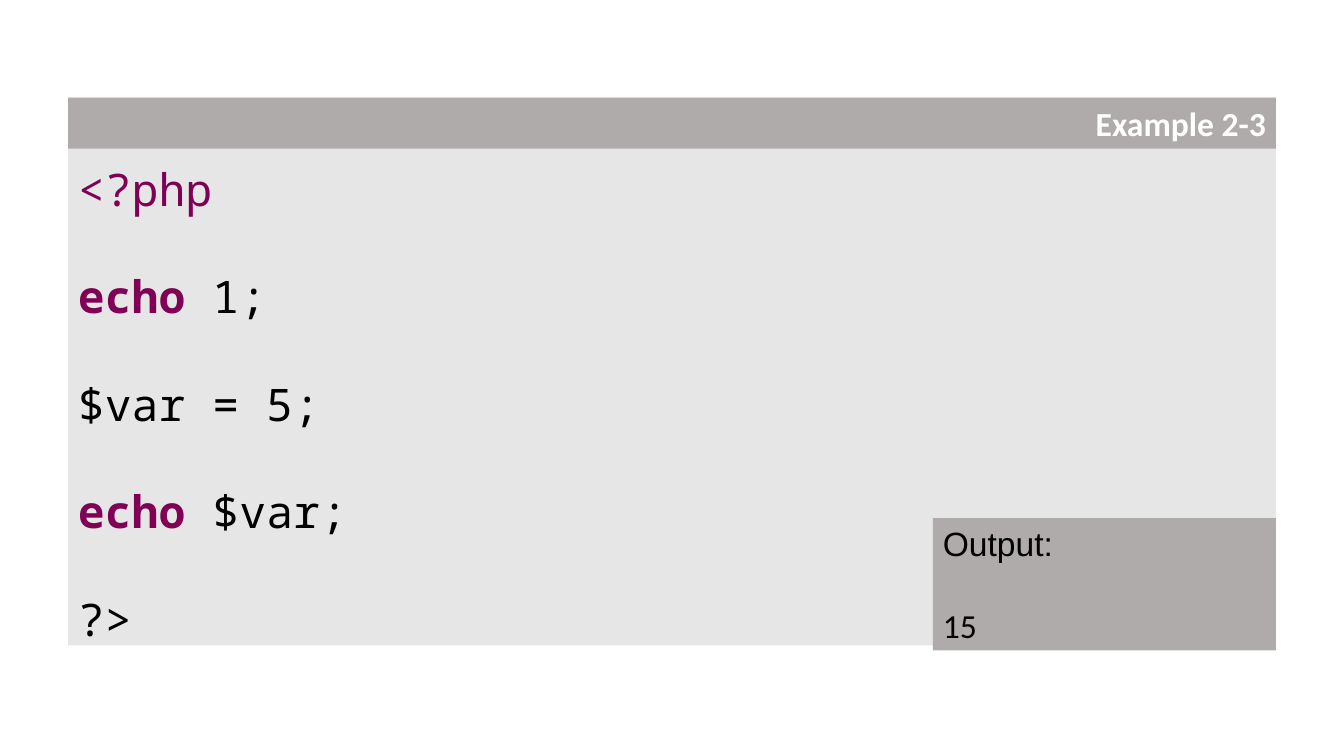
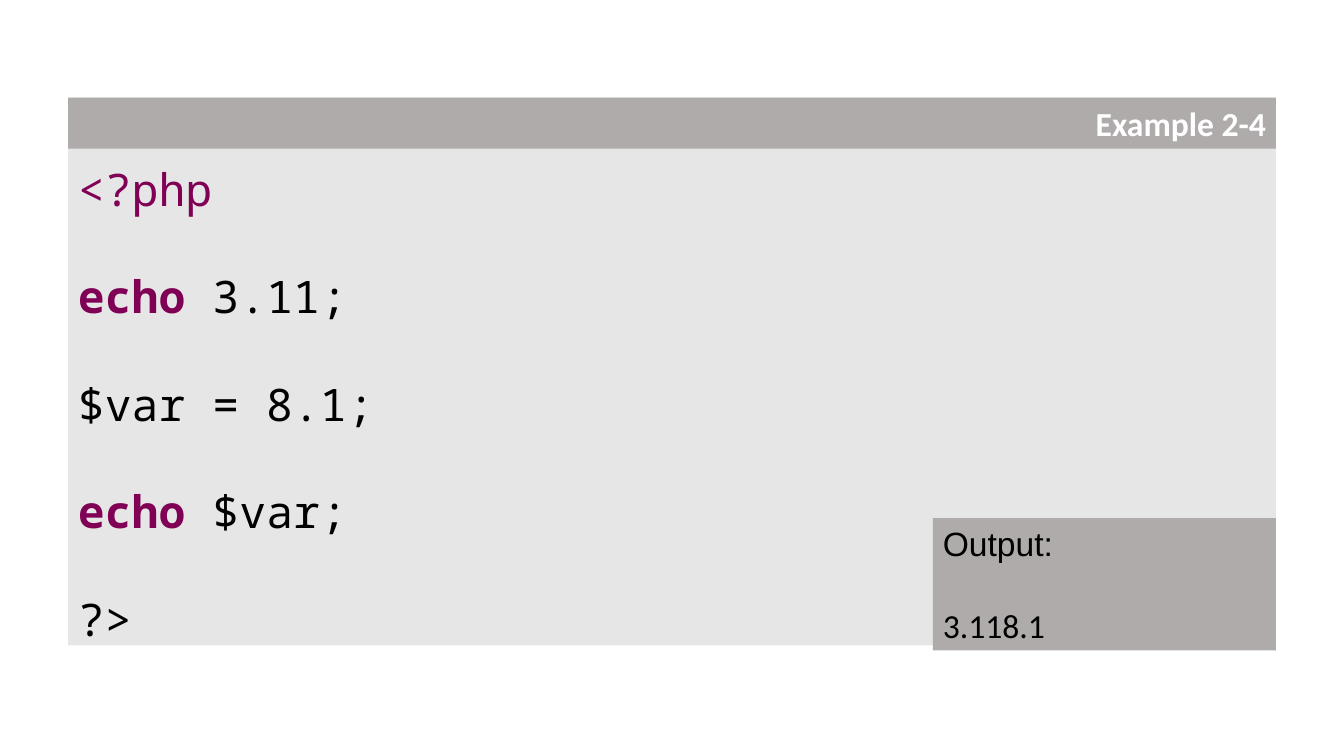
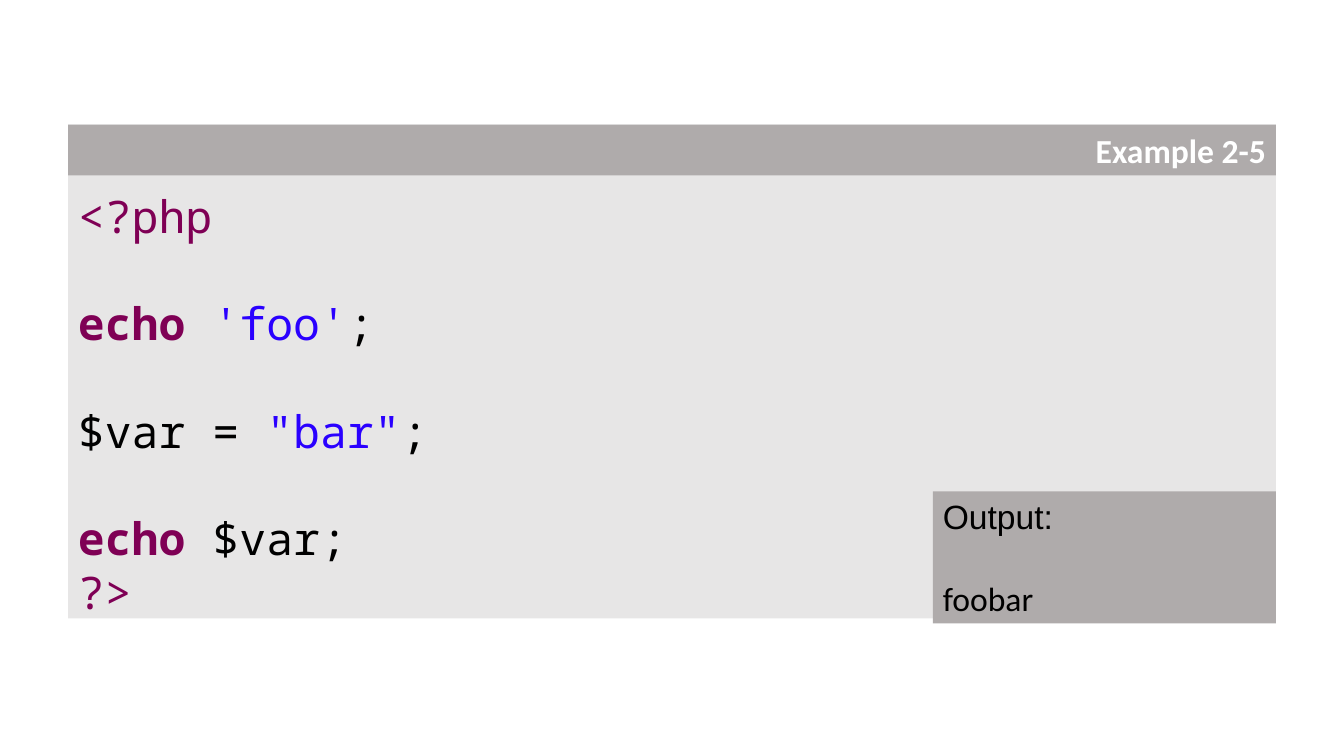
from pptx import Presentation
from pptx.dml.color import RGBColor as RGB
from pptx.enum.shapes import MSO_SHAPE as Shape
from pptx.enum.text import MSO_ANCHOR as Anchor, PP_ALIGN as Align
from pptx.util import Pt

BLACK = RGB(0x00, 0x00, 0x00)
WHITE = RGB(0xFF, 0xFF, 0xFF)
PALE = RGB(0xE7, 0xE6, 0xE6)
GREY = RGB(0xAF, 0xAB, 0xAB)
PLUM = RGB(0x7F, 0x00, 0x55)
BLUE = RGB(0x2A, 0x00, 0xFF)
MONO, SANS, BODY = "Noto Sans Mono", "Arial", "Calibri"

# Code lines are lists of (text, colour, bold)
OPEN = [("<?php", PLUM, False)]
ECHO = ("echo", PLUM, True)
LAST = [ECHO, (" $var;", BLACK, False)]


def plain(text):
    return [(text, BLACK, False)]


def quote(text):
    return [(text, BLUE, False), (";", BLACK, False)]


# Title, code lines, output, whether a gap precedes the closing tag
SLIDES = [
    ("Example 2-3",
     [OPEN, [ECHO] + plain(" 1;"), plain("$var = 5;"), LAST, plain("?>")],
     "15", True),
    ("Example 2-4",
     [OPEN, [ECHO] + plain(" 3.11;"), plain("$var = 8.1;"), LAST, plain("?>")],
     "3.118.1", True),
    ("Example 2-5",
     [OPEN, [ECHO] + plain(" ") + quote("'foo'"),
      plain("$var = ") + quote('"bar"'), LAST, [("?>", PLUM, False)]],
     "foobar", False),
]

# Layout in points
LEFT, WIDE, MID = 48.6, 862.8, 265.4
LINE, PAD = 38.4, 7.2
HEAD = 36.4
OUT_W, OUT_H, DROP = 245, 94.4, 3.6


def box(slide, x, y, w, h, fill, anchor=Anchor.TOP):
    rect = slide.shapes.add_shape(Shape.RECTANGLE, Pt(x), Pt(y), Pt(w), Pt(h))
    rect.shadow.inherit = False
    rect.fill.solid()
    rect.fill.fore_color.rgb = fill
    rect.line.fill.background()
    frame = rect.text_frame
    frame.word_wrap = True
    frame.vertical_anchor = anchor
    return frame


def style(run, face, size, color, bold=False):
    font = run.font
    font.name, font.size, font.bold = face, Pt(size), bold
    font.color.rgb = color


def add_code(frame, lines, gaps):
    for i, line in enumerate(lines):
        para = frame.add_paragraph() if i else frame.paragraphs[0]
        para.alignment = Align.LEFT
        para.line_spacing = Pt(LINE)
        if i and gaps[i]:
            para.space_before = Pt(LINE)
        for text, color, bold in line:
            run = para.add_run()
            run.text = text
            style(run, MONO, 32, color, bold)


def build(deck, title, lines, output, last_gap):
    slide = deck.slides.add_slide(deck.slide_layouts[6])
    gaps = [True] * (len(lines) - 1) + [last_gap]
    high = (len(lines) + sum(gaps)) * LINE + PAD
    top = MID - high / 2

    # Code panel
    frame = box(slide, LEFT, top, WIDE, high, PALE, Anchor.BOTTOM)
    frame.margin_bottom = 0
    add_code(frame, lines, gaps)

    # Output box
    frame = box(slide, LEFT + WIDE - OUT_W, top + high + DROP - OUT_H,
                OUT_W, OUT_H, GREY)
    frame.text = "Output:\n" + output
    for para, face in zip(frame.paragraphs, (SANS, BODY)):
        para.alignment = Align.LEFT
        style(para.runs[0], face, 24, BLACK)
    frame.paragraphs[1].space_before = Pt(29.3)

    # Title band
    frame = box(slide, LEFT, top, WIDE, HEAD, GREY)
    frame.text = title
    para = frame.paragraphs[0]
    para.alignment = Align.RIGHT
    style(para.runs[0], BODY, 24, WHITE, True)


def main():
    deck = Presentation()
    deck.slide_width, deck.slide_height = Pt(960), Pt(540)
    for item in SLIDES:
        build(deck, *item)
    deck.save("out.pptx")


if __name__ == "__main__":
    main()
